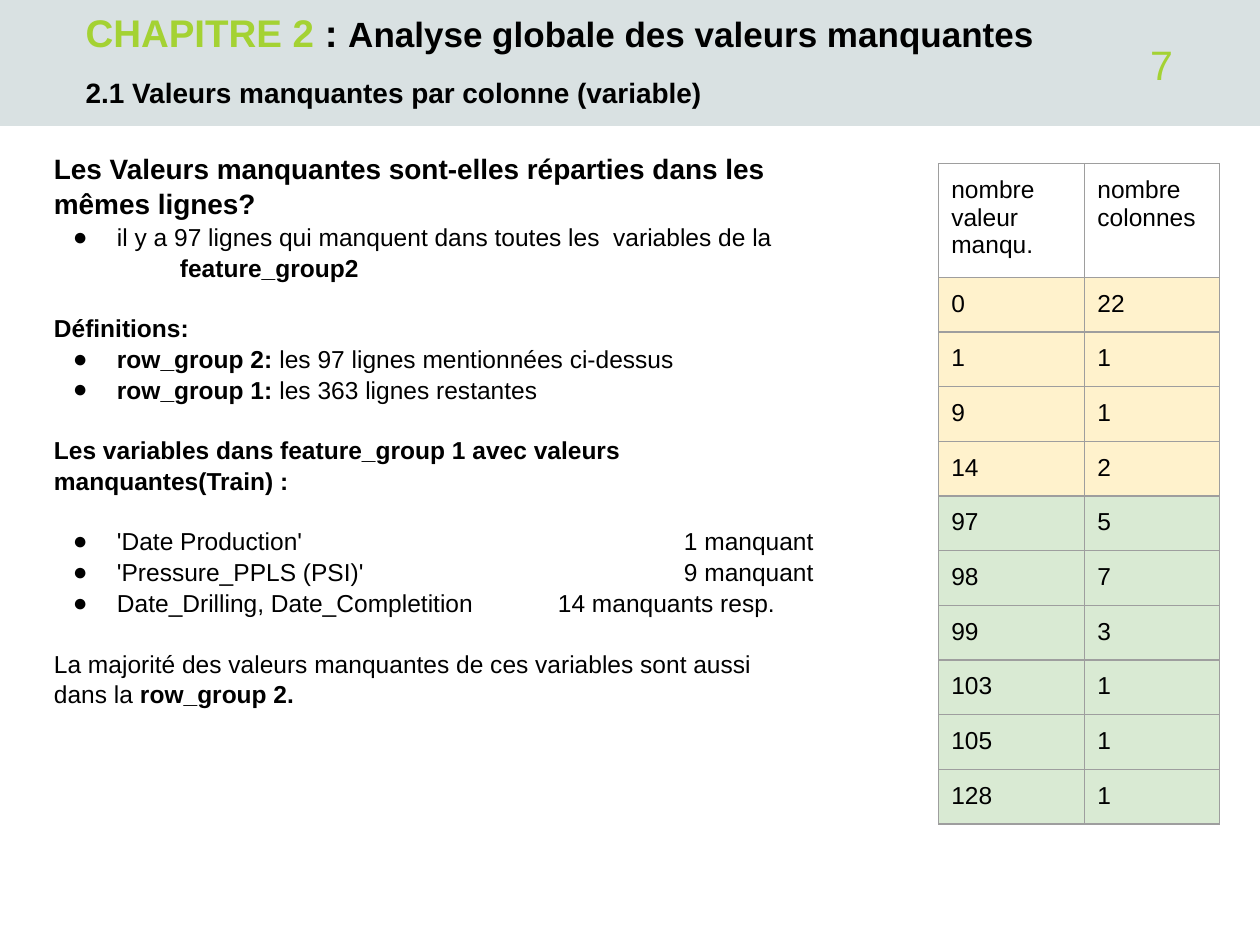
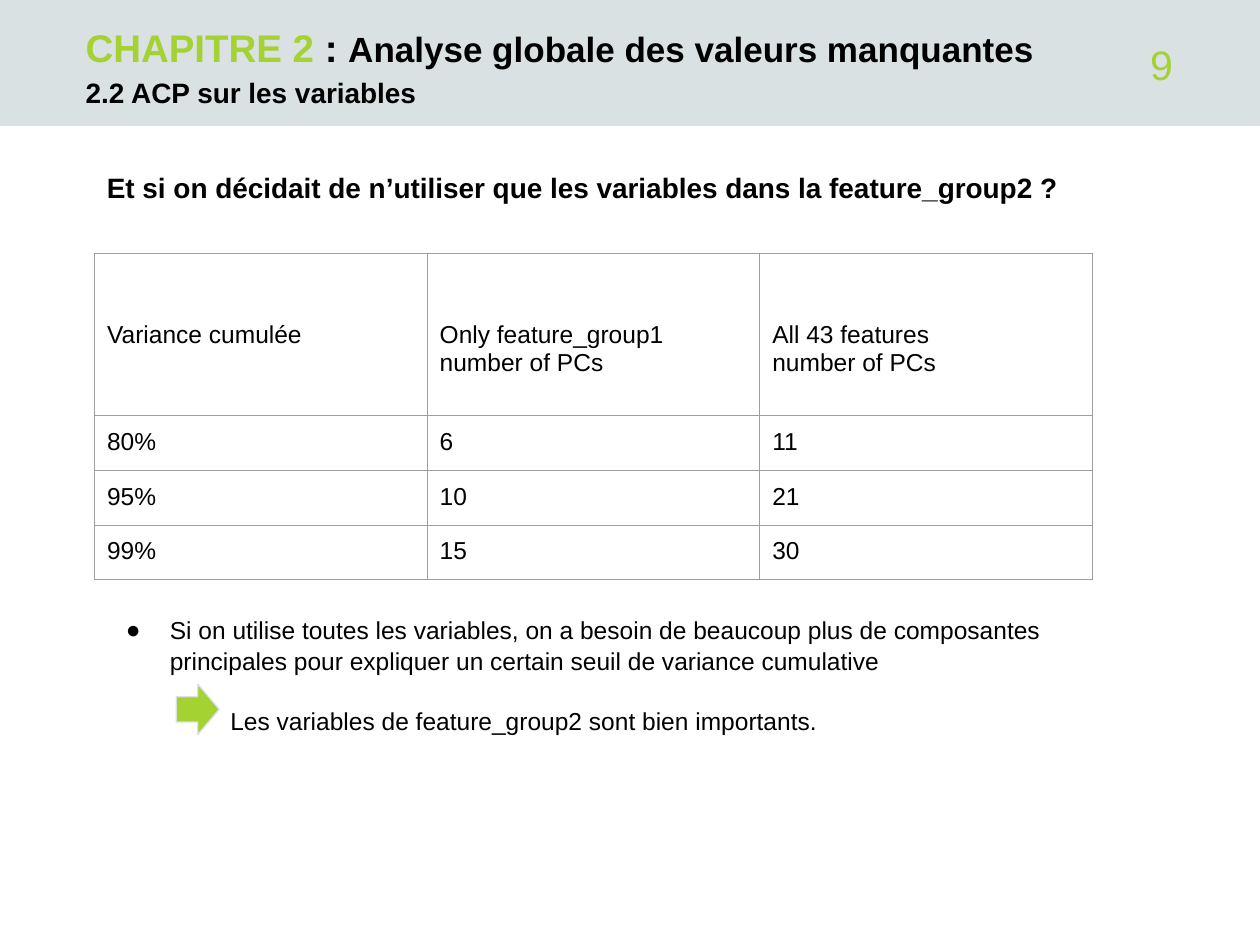
from lxml.etree import SubElement
from pptx import Presentation
from pptx.dml.color import RGBColor as RGB
from pptx.enum.shapes import MSO_SHAPE as SHAPE
from pptx.enum.text import MSO_ANCHOR as ANCHOR, PP_ALIGN as ALIGN
from pptx.oxml.ns import qn
from pptx.util import Pt

PX = 9144
COLORS = dict(band="D9E1E2", lime="A4D233", black="000000", grid="9E9E9E",
              cream="FFF2CC", mint="D9EAD3")
HEAD = dict(size=16, bold=True)
BODY = dict(size=14)
BOLD = dict(size=14, bold=True)
LINE = 16.9


def px(*values):
    return [v * PX for v in values]


class Deck:
    font = "Arial"
    spacing = 1.05
    inset = 10
    bullet = dict(marL=50, indent=-35)

    def __init__(self):
        self.prs = Presentation()
        self.prs.slide_width, self.prs.slide_height = px(1000, 750)

    def slide(self, number, title_height, subtitle):
        self.s = self.prs.slides.add_slide(self.prs.slide_layouts[6])
        self.shape(SHAPE.RECTANGLE, (0, 0, 1000, 100), "band")
        title = [("CHAPITRE 2 ", dict(size=22, bold=True, color="lime")),
                 (": ", dict(size=22, bold=True)),
                 ("Analyse globale des valeurs manquantes", dict(size=20, bold=True))]
        plain = dict(inset=0, spacing=1.0)
        self.text((68, 0, 767, title_height), [(title, {})], anchor=ANCHOR.BOTTOM, **plain)
        self.text((860, 29, 71, 44),
                  [([(number, dict(size=23.5, color="lime"))], dict(alignment=ALIGN.RIGHT))],
                  anchor=ANCHOR.MIDDLE, **plain)
        self.text((68, 59, 768, 40), [([(subtitle, HEAD)], {})], inset=0)

    def shape(self, kind, box, fill, line=None):
        sp = self.s.shapes.add_shape(kind, *px(*box))
        sp.shadow.inherit = False
        sp.fill.solid()
        sp.fill.fore_color.rgb = RGB.from_string(COLORS[fill])
        if line:
            sp.line.color.rgb = RGB.from_string(COLORS[line])
            sp.line.width = Pt(0.75)
        else:
            sp.line.fill.background()

    def run(self, p, text, size, color="black", bold=False):
        r = p.add_run()
        r.text = text
        for name, value in dict(name=self.font, size=Pt(size), bold=bold).items():
            setattr(r.font, name, value)
        r.font.color.rgb = RGB.from_string(COLORS[color])

    def margins(self, target, **sides):
        for side in ("left", "top", "right", "bottom"):
            setattr(target, f"margin_{side}", sides.get(side, self.inset) * PX)

    def text(self, box, paragraphs, anchor=ANCHOR.TOP, inset=inset, spacing=spacing):
        tf = self.s.shapes.add_textbox(*px(*box)).text_frame
        self.margins(tf, **dict.fromkeys(("left", "top", "right", "bottom"), inset))
        tf.word_wrap = True
        tf.vertical_anchor = anchor
        for i, (runs, fmt) in enumerate(paragraphs):
            p = tf.add_paragraph() if i else tf.paragraphs[0]
            self.paragraph(p, spacing, **fmt)
            for text, style in runs:
                self.run(p, text, **style)

    def paragraph(self, p, spacing, bullet=False, left=0, tab=None, **fmt):
        for name, value in dict(line_spacing=spacing, **fmt).items():
            setattr(p, name, value)
        pPr = p._p.get_or_add_pPr()
        indents = self.bullet if bullet else dict(marL=left, indent=0)
        for name, value in indents.items():
            pPr.set(name, str(value * PX))
        if bullet:
            color = SubElement(pPr, qn("a:buClr"))
            SubElement(color, qn("a:srgbClr"), val=COLORS["black"])
            SubElement(pPr, qn("a:buFont"), typeface=self.font)
            SubElement(pPr, qn("a:buChar"), char="●")
        if tab:
            tabs = SubElement(pPr, qn("a:tabLst"))
            SubElement(tabs, qn("a:tab"), pos=str(tab * PX), algn="l")

    def table(self, left, top, widths, head_height, rows, fills, head_top=inset):
        heights = [head_height] + [42] * (len(rows) - 1)
        frame = self.s.shapes.add_table(len(rows), len(widths),
                                        *px(left, top, sum(widths), sum(heights)))
        table = frame.table
        table.first_row = table.horz_banding = False
        for column, width in zip(table.columns, widths):
            column.width = width * PX
        for i, (row, height, fill) in enumerate(zip(rows, heights, fills)):
            table.rows[i].height = height * PX
            for j, text in enumerate(row):
                self.cell(table.cell(i, j), text, fill, self.inset if i else head_top)

    def cell(self, cell, text, fill, top):
        self.margins(cell, top=top)
        tcPr = cell._tc.get_or_add_tcPr()
        for side in ("lnL", "lnR", "lnT", "lnB"):
            ln = SubElement(tcPr, qn(f"a:{side}"), w=str(Pt(0.75)))
            SubElement(SubElement(ln, qn("a:solidFill")), qn("a:srgbClr"), val=COLORS["grid"])
        if fill:
            cell.fill.solid()
            cell.fill.fore_color.rgb = RGB.from_string(COLORS[fill])
        else:
            cell.fill.background()
        tf = cell.text_frame
        for i, line in enumerate(text.split("\n")):
            self.run(tf.add_paragraph() if i else tf.paragraphs[0], line, **BODY)


def missing_by_column(deck):
    deck.slide("7", 44, "2.1 Valeurs manquantes par colonne (variable)")
    counts = [(0, 22), (1, 1), (9, 1), (14, 2), (97, 5), (98, 7), (99, 3),
              (103, 1), (105, 1), (128, 1)]
    rows = [("nombre valeur manqu.", "nombre colonnes")]
    rows += [(str(missing), str(columns)) for missing, columns in counts]
    fills = [None] + ["cream" if missing < 97 else "mint" for missing, _ in counts]
    deck.table(745, 130, [116, 107], 85, rows, fills)
    gap = dict(space_before=Pt(LINE))
    item = dict(bullet=True)
    deck.text((33, 109, 624, 496), [
        ([("Les Valeurs manquantes sont-elles réparties dans les mêmes lignes?", HEAD)], {}),
        ([("il y a 97 lignes qui manquent dans toutes les  variables de la", BODY)], item),
        ([("feature_group2", BOLD)], dict(left=100)),
        ([("Définitions:", BOLD)], gap),
        ([("row_group 2: ", BOLD), ("les 97 lignes mentionnées ci-dessus", BODY)], item),
        ([("row_group 1: ", BOLD), ("les 363 lignes restantes", BODY)], item),
        ([("Les variables dans feature_group 1 avec valeurs manquantes(Train) :", BOLD)], gap),
        ([("'Date Production'\t1 manquant", BODY)], dict(tab=500, **item, **gap)),
        ([("'Pressure_PPLS (PSI)'\t9 manquant", BODY)], dict(tab=500, **item)),
        ([("Date_Drilling, Date_Completition\t14 manquants resp.", BODY)],
         dict(tab=400, **item)),
        ([("La majorité des valeurs manquantes de ces variables sont aussi", BODY)], gap),
        ([("dans la ", BODY), ("row_group 2.", BOLD)], {}),
    ])


def pca_on_variables(deck):
    deck.slide("9", 56, "2.2 ACP sur les variables")
    question = "Et si on décidait de n’utiliser que les variables dans la feature_group2 ?"
    deck.text((75, 124, 856, 54), [([(question, HEAD)], {})])
    rows = [("Variance cumulée", "Only feature_group1\nnumber of PCs",
             "All 43 features\nnumber of PCs"),
            ("80%", "6", "11"), ("95%", "10", "21"), ("99%", "15", "30")]
    deck.table(75, 201, [264] * 3, 129, rows, [None] * 4, head_top=54)
    deck.text((75, 477, 856, 168), [
        ([("Si on utilise toutes les variables, on a besoin de beaucoup plus de composantes "
           "principales pour expliquer un certain seuil de variance cumulative", BODY)],
         dict(bullet=True)),
        ([("Les variables de feature_group2 sont bien importants.", BODY)],
         dict(left=98, space_before=Pt(LINE))),
    ])
    deck.shape(SHAPE.RIGHT_ARROW, (140, 543, 34, 40), "lime", "band")


def main():
    deck = Deck()
    missing_by_column(deck)
    pca_on_variables(deck)
    deck.prs.save("out.pptx")


if __name__ == "__main__":
    main()
